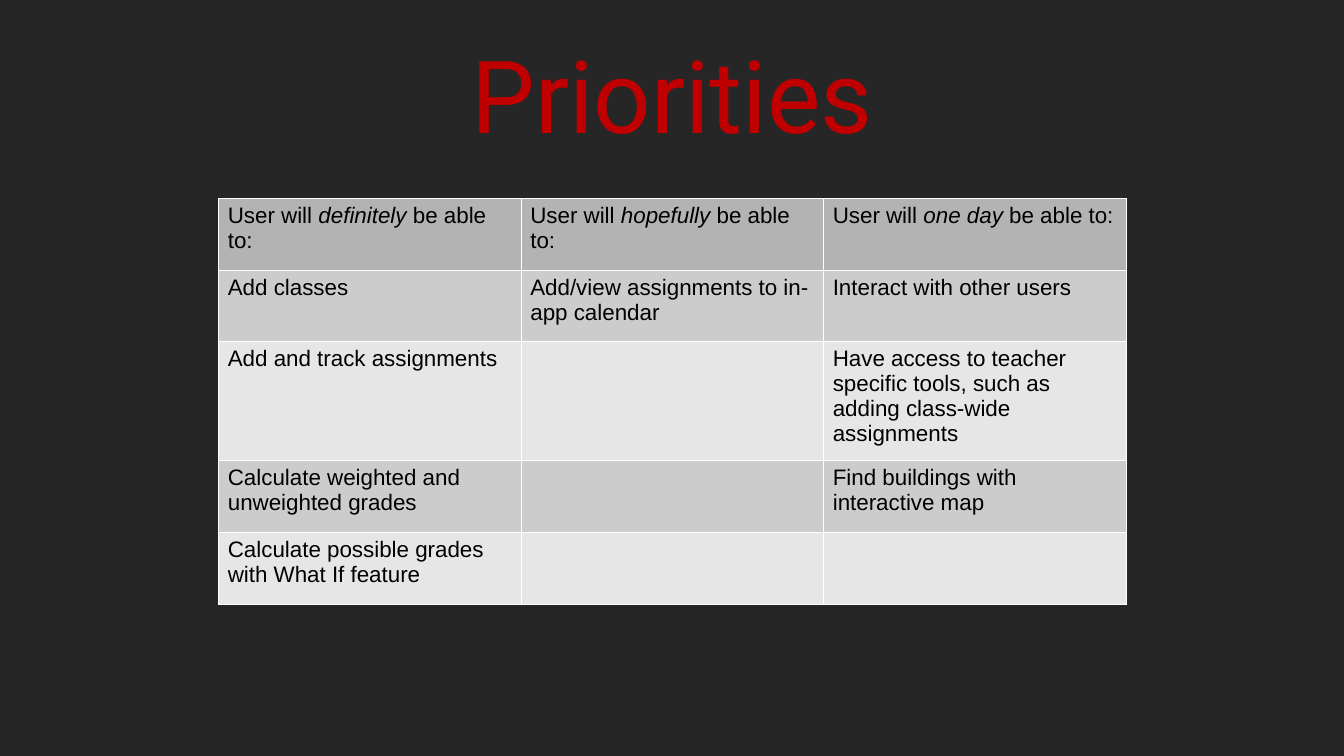
from lxml.etree import SubElement
from pptx import Presentation
from pptx.dml.color import RGBColor as RGB
from pptx.enum.text import MSO_ANCHOR as Anchor, PP_ALIGN as Align
from pptx.oxml.ns import qn
from pptx.util import Inches, Pt

COLORS = {
    "back": "262626", "title": "C00000", "text": "000000", "line": "FFFFFF",
    "head": "B3B3B3", "odd": "CCCCCC", "even": "E6E6E6",
}


def write(frame, text, font="Arial", size=16, color="text", align=Align.LEFT):
    """Fill a text frame; parts between asterisks become italic."""
    para = frame.paragraphs[0]
    para.alignment = align
    para.font.size = Pt(size)
    for i, part in enumerate(text.split("*")):
        if part:
            run = para.add_run()
            run.text = part
            run.font.name = font
            run.font.size = Pt(size)
            run.font.italic = i % 2 == 1
            run.font.color.rgb = RGB.from_string(COLORS[color])


class Deck:
    def __init__(self):
        self.prs = Presentation()
        self.prs.slide_width = Inches(13.33)
        self.prs.slide_height = Inches(7.5)
        self.slide = self.prs.slides.add_slide(self.prs.slide_layouts[6])
        self.fill(self.slide.background.fill, "back")

    def fill(self, fill, color):
        fill.solid()
        fill.fore_color.rgb = RGB.from_string(COLORS[color])

    def text(self, left, top, width, height, text, **style):
        box = self.slide.shapes.add_textbox(
            Inches(left), Inches(top), Inches(width), Inches(height))
        frame = box.text_frame
        frame.word_wrap = True
        frame.vertical_anchor = Anchor.MIDDLE
        frame.margin_left = frame.margin_right = 0
        frame.margin_top = frame.margin_bottom = 0
        write(frame, text, **style)

    def border(self, cell):
        props = cell._tc.get_or_add_tcPr()
        for i, side in enumerate(("lnL", "lnR", "lnT", "lnB")):
            line = SubElement(props, qn(f"a:{side}"), w=str(Pt(0.75)))
            props.insert(i, line)  # borders come before the fill
            solid = SubElement(line, qn("a:solidFill"))
            SubElement(solid, qn("a:srgbClr"), val=COLORS["line"])

    def table(self, left, top, width, heights, rows):
        cols = len(rows[0])
        table = self.slide.shapes.add_table(
            len(rows), cols, Inches(left), Inches(top),
            Inches(width), Inches(sum(heights))).table
        for col in table.columns:
            col.width = Inches(width / cols)
        for r, (height, texts) in enumerate(zip(heights, rows)):
            table.rows[r].height = Inches(height)
            shade = "head" if r == 0 else "odd" if r % 2 else "even"
            for c, text in enumerate(texts):
                cell = table.cell(r, c)
                cell.margin_left = cell.margin_right = Inches(0.09)
                cell.margin_top = cell.margin_bottom = Inches(0.05)
                self.fill(cell.fill, shade)
                self.border(cell)
                write(cell.text_frame, text)


def main():
    deck = Deck()

    # Title
    deck.text(2.17, 0.3, 9, 1.25, "Priorities", font="Roboto", size=72,
              color="title", align=Align.CENTER)

    # Table of features by priority
    deck.table(2.17, 1.97, 9, [0.71, 0.71, 1.18, 0.71, 0.72], [
        ["User will *definitely* be able to:",
         "User will *hopefully *be able to:",
         "User will *one day* be able to:"],
        ["Add classes", "Add/view assignments to in-app calendar",
         "Interact with other users"],
        ["Add and track assignments", "",
         "Have access to teacher specific tools, "
         "such as adding class-wide assignments"],
        ["Calculate weighted and unweighted grades", "",
         "Find buildings with interactive map"],
        ["Calculate possible grades with What If feature", "", ""],
    ])

    deck.prs.save("out.pptx")


if __name__ == "__main__":
    main()
